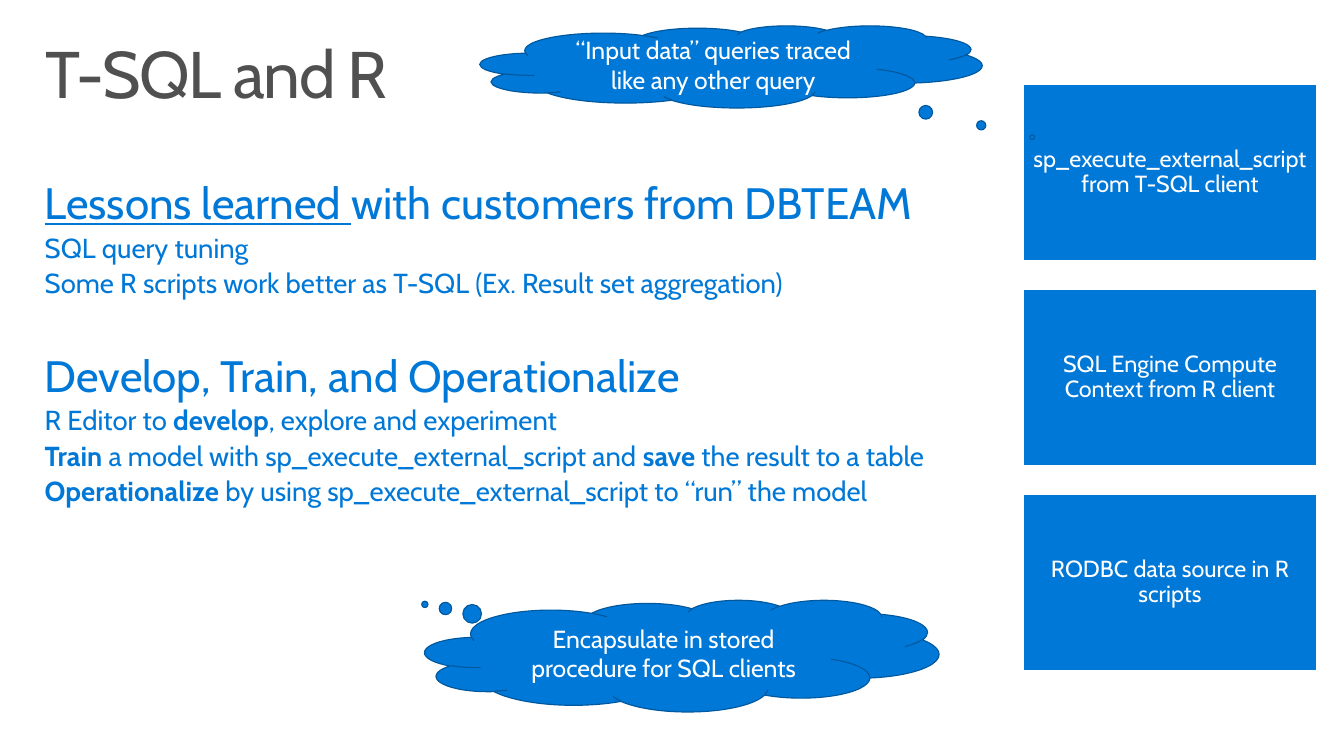
import pptx
import pptx.util
import pptx.dml.color
import pptx.enum.shapes
import pptx.enum.text

Cm, Pt = pptx.util.Cm, pptx.util.Pt
SHAPE = pptx.enum.shapes.MSO_SHAPE
ALIGN = pptx.enum.text.PP_ALIGN
ANCHOR = pptx.enum.text.MSO_ANCHOR
BLUE, NAVY, GRAY, WHITE = "0078D7", "00599F", "505050", "FFFFFF"


def paint(target, color):
    """Set a fill, line fill or font colour from a hex string."""
    if hasattr(target, "solid"):
        target.solid()
        target = target.fore_color
    else:
        target = target.color
    target.rgb = pptx.dml.color.RGBColor.from_string(color)


def write(frame, text, size, color, mark="bold", align=ALIGN.LEFT,
          space=1.0, before=0, track=0):
    """Add a paragraph; parts between asterisks get the mark."""
    para = frame.paragraphs[0]
    if para.runs:
        para = frame.add_paragraph()
    para.alignment = align
    para.line_spacing = space
    para.space_before = Pt(before)
    for i, part in enumerate(text.split("*")):
        if not part:
            continue
        run = para.add_run()
        run.text = part
        run.font.name = "Cabin"
        run.font.size = Pt(size)
        paint(run.font, color)
        if i % 2:
            setattr(run.font, mark, True)
        if track:
            run.font._element.set("spc", str(track))


deck = pptx.Presentation()
deck.slide_width, deck.slide_height = Cm(34.54), Cm(19.43)
slide = deck.slides.add_slide(deck.slide_layouts[6])

# Title and body boxes
frames = []
for left, top, width, height in [(0.76, 0.81, 33.02, 2.54),
                                 (0.74, 4.42, 24.97, 9.17)]:
    box = slide.shapes.add_textbox(Cm(left), Cm(top), Cm(width), Cm(height))
    frame = box.text_frame
    frame.word_wrap = True
    frame.margin_left = frame.margin_right = Cm(0.41)
    frame.margin_top = frame.margin_bottom = Cm(0.25)
    frames.append(frame)
title, body = frames
write(title, "T-SQL and R", 48, GRAY, space=0.9, track=-100)

# Body: headings with their points
topics = [
    ("*Lessons learned *with customers from DBTEAM", 0, [
        "SQL query tuning",
        "Some R scripts work better as T-SQL (Ex. Result set aggregation)"]),
    ("Develop, Train, and Operationalize", 40, [
        "R Editor to *develop*, explore and experiment",
        "*Train* a model with sp_execute_external_script and *save* the result to a table",
        "*Operationalize* by using sp_execute_external_script to “run” the model"]),
]
for head, gap, points in topics:
    write(body, head, 32, BLUE, mark="underline", space=0.9, before=gap)
    for point in points:
        write(body, point, 20, BLUE, space=0.9, before=4)

# Column of client tiles
tiles = ["sp_execute_external_script from T-SQL client",
         "SQL Engine Compute Context from R client",
         "RODBC data source in R scripts"]
for i, label in enumerate(tiles):
    tile = slide.shapes.add_shape(SHAPE.RECTANGLE, Cm(26.31), Cm(2.18 + 5.27 * i),
                                  Cm(7.52), Cm(4.52))
    tile.shadow.inherit = False
    paint(tile.fill, BLUE)
    paint(tile.line.fill, WHITE)
    tile.line.width = Pt(0.85)
    frame = tile.text_frame
    frame.word_wrap = True
    frame.vertical_anchor = ANCHOR.MIDDLE
    frame.margin_left = frame.margin_right = Cm(0.18)
    frame.margin_top = frame.margin_bottom = Cm(0.18)
    write(frame, label, 17, WHITE, align=ALIGN.CENTER, space=0.9)

# Thought clouds
clouds = [
    ("“Input data” queries traced like any other query",
     12.34, 0.66, 12.9, 2.11, 0.6, 0.86),
    ("Encapsulate in stored procedure for SQL clients",
     10.92, 15.42, 13.21, 2.87, -0.5, -0.46),
]
for label, left, top, width, height, tail_x, tail_y in clouds:
    cloud = slide.shapes.add_shape(SHAPE.CLOUD_CALLOUT, Cm(left), Cm(top),
                                   Cm(width), Cm(height))
    cloud.adjustments[0], cloud.adjustments[1] = tail_x, tail_y
    cloud.shadow.inherit = False
    paint(cloud.fill, BLUE)
    paint(cloud.line.fill, NAVY)
    cloud.line.width = Pt(0.85)
    cloud.text_frame.word_wrap = True
    cloud.text_frame.vertical_anchor = ANCHOR.MIDDLE
    write(cloud.text_frame, label, 18, WHITE, align=ALIGN.CENTER)

deck.save("out.pptx")
